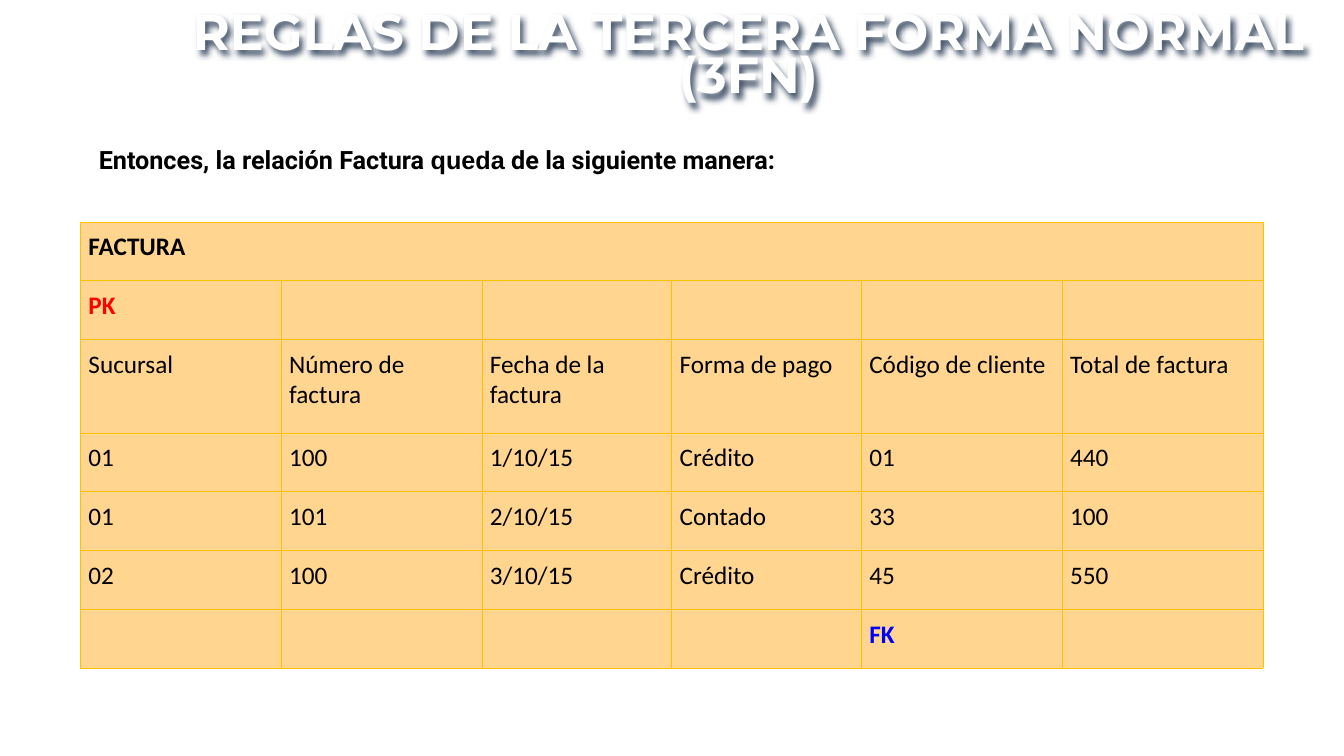
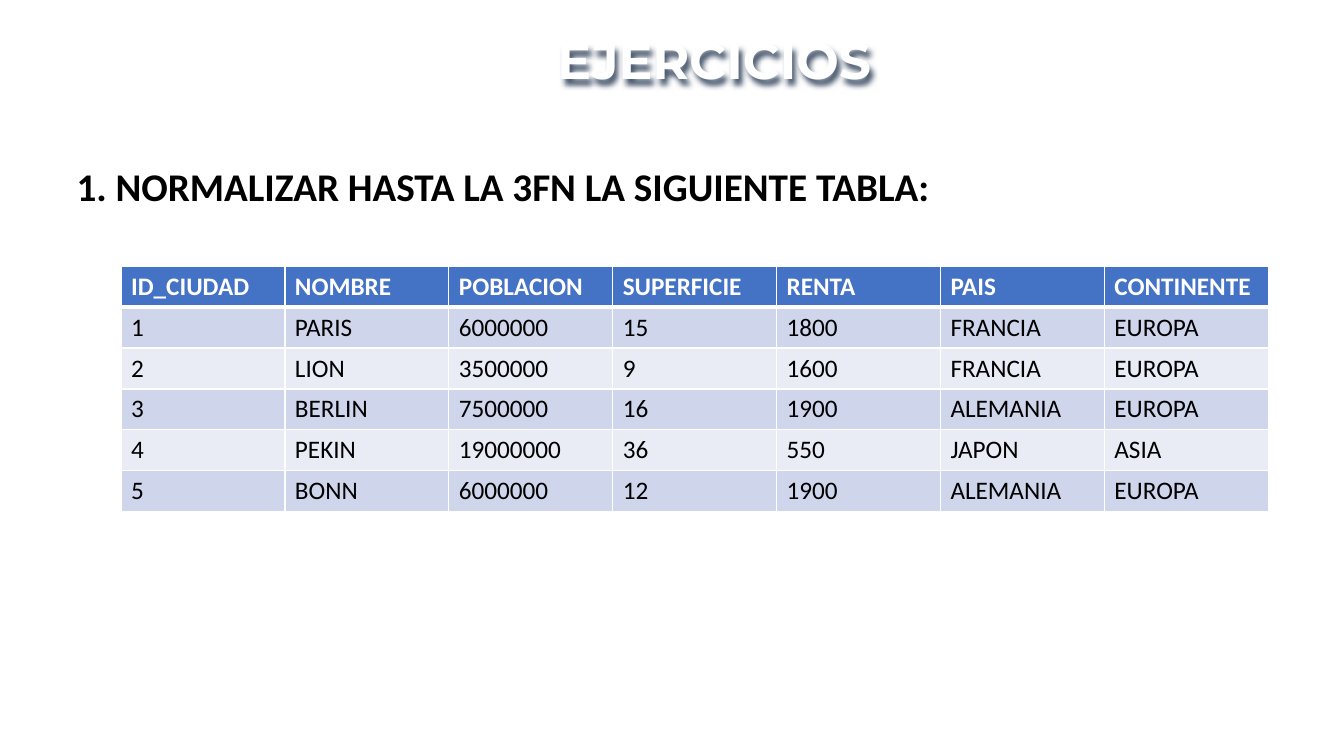
from lxml.etree import SubElement
from pptx import Presentation
from pptx.dml.color import RGBColor
from pptx.enum.text import MSO_ANCHOR, MSO_AUTO_SIZE, PP_ALIGN
from pptx.oxml.ns import qn
from pptx.util import Cm, Pt

COLORS = {
    "white": "FFFFFF",
    "black": "000000",
    "shadow": "44546A",
    "gold": "FFC000",
    "apricot": "FFD58F",
    "key": "FF0000",
    "foreign": "0000FF",
    "header": "4472C4",
    "band_dark": "CFD5EA",
    "band_light": "E9EBF5",
}
TITLE_ONLY = 5

INVOICES = [
    ["FACTURA", "", "", "", "", ""],
    ["PK", "", "", "", "", ""],
    ["Sucursal", "Número de factura", "Fecha de la factura",
     "Forma de pago", "Código de cliente", "Total de factura"],
    ["01", "100", "1/10/15", "Crédito", "01", "440"],
    ["01", "101", "2/10/15", "Contado", "33", "100"],
    ["02", "100", "3/10/15", "Crédito", "45", "550"],
    ["", "", "", "", "FK", ""],
]
CITIES = [
    ["ID_CIUDAD", "NOMBRE", "POBLACION", "SUPERFICIE", "RENTA", "PAIS", "CONTINENTE"],
    ["1", "PARIS", "6000000", "15", "1800", "FRANCIA", "EUROPA"],
    ["2", "LION", "3500000", "9", "1600", "FRANCIA", "EUROPA"],
    ["3", "BERLIN", "7500000", "16", "1900", "ALEMANIA", "EUROPA"],
    ["4", "PEKIN", "19000000", "36", "550", "JAPON", "ASIA"],
    ["5", "BONN", "6000000", "12", "1900", "ALEMANIA", "EUROPA"],
]


def rgb(name):
    return RGBColor.from_string(COLORS[name])


def set_font(font, name, size, color="black", bold=False):
    font.name = name
    font.size = Pt(size)
    font.bold = bold
    font.color.rgb = rgb(color)


def place(sp, box):
    sp.left, sp.top, sp.width, sp.height = (Cm(v) for v in box)


def add_shadow(sp):
    effects = SubElement(sp._element.spPr, qn("a:effectLst"))
    shadow = SubElement(effects, qn("a:outerShdw"), blurRad="50800", dist="50800",
                        dir="3600000", algn="tl", rotWithShape="0")
    SubElement(shadow, qn("a:srgbClr"), val=COLORS["shadow"])


def add_title(slide, box, text):
    sp = slide.shapes.title
    place(sp, box)
    add_shadow(sp)
    tf = sp.text_frame
    tf.text = text
    tf.word_wrap = True
    tf.auto_size = MSO_AUTO_SIZE.SHAPE_TO_FIT_TEXT
    tf.vertical_anchor = MSO_ANCHOR.TOP
    tf.margin_left = tf.margin_right = tf.margin_top = tf.margin_bottom = 0
    p = tf.paragraphs[0]
    p.alignment = PP_ALIGN.CENTER
    p.line_spacing = Pt(31)
    set_font(p.font, "Montserrat", 36, "white", True)


def add_statement(slide, box, runs, size, wrap=True):
    tf = slide.shapes.add_textbox(*(Cm(v) for v in box)).text_frame
    tf.word_wrap = wrap
    tf.auto_size = MSO_AUTO_SIZE.SHAPE_TO_FIT_TEXT
    p = tf.paragraphs[0]
    for text, font_name in runs:
        r = p.add_run()
        r.text = text
        set_font(r.font, font_name, size, bold=True)


def set_borders(cell, color, width, bottom=None):
    tc_pr = cell._tc.get_or_add_tcPr()
    for side in "LRTB":
        points = bottom if side == "B" and bottom else width
        ln = SubElement(tc_pr, qn(f"a:ln{side}"), w=str(Pt(points)))
        fill = SubElement(ln, qn("a:solidFill"))
        SubElement(fill, qn("a:srgbClr"), val=COLORS[color])


def add_table(slide, left, top, widths, heights, rows, style_cell):
    box = (left, top, sum(widths), sum(heights))
    table = slide.shapes.add_table(len(rows), len(widths), *(Cm(v) for v in box)).table
    table.first_row = table.horz_banding = False
    for column, width in zip(table.columns, widths):
        column.width = Cm(width)
    for i, (row, height) in enumerate(zip(table.rows, heights)):
        row.height = Cm(height)
        for cell, text in zip(row.cells, rows[i]):
            cell.text = text
            style_cell(cell, i)
    return table


def style_invoice(cell, i):
    set_borders(cell, "gold", 0.5)
    cell.fill.solid()
    cell.fill.fore_color.rgb = rgb("apricot")
    cell.margin_left = cell.margin_right = Cm(0.2)
    cell.margin_top = cell.margin_bottom = Cm(0.25)
    color = {"PK": "key", "FK": "foreign"}.get(cell.text, "black")
    bold = cell.text in ("FACTURA", "PK", "FK")
    set_font(cell.text_frame.paragraphs[0].font, "Calibri", 18, color, bold)


def style_city(cell, i):
    header = i == 0
    set_borders(cell, "white", 1, 3 if header else None)
    cell.fill.solid()
    band = "band_dark" if i % 2 else "band_light"
    cell.fill.fore_color.rgb = rgb("header" if header else band)
    set_font(cell.text_frame.paragraphs[0].font, "Calibri", 18,
             "white" if header else "black", header)


def add_slide(prs):
    slide = prs.slides.add_slide(prs.slide_layouts[TITLE_ONLY])
    slide.background.fill.solid()
    slide.background.fill.fore_color.rgb = rgb("white")
    return slide


def build_third_form(prs):
    slide = add_slide(prs)
    widths = [5.06, 5.06, 4.78, 4.78, 5.06, 5.06]
    heights = [1.48, 1.48, 2.36] + [1.48] * 4
    table = add_table(slide, 2.03, 5.59, widths, heights, INVOICES, style_invoice)
    table.cell(0, 0).merge(table.cell(0, len(widths) - 1))
    runs = [("Entonces, la relación Factura ", "Roboto"), ("queda", "Arial"),
            (" de la siguiente manera:", "Roboto")]
    add_statement(slide, (2.24, 3.51, 27.97, 1.02), runs, 18)
    add_title(slide, (4.19, 0.43, 29.34, 2.24), "REGLAS DE LA TERCERA FORMA NORMAL (3FN)")


def build_exercises(prs):
    slide = add_slide(prs)
    add_table(slide, 3.05, 6.71, [4.13] * 7, [1.03] * 6, CITIES, style_city)
    add_title(slide, (3.33, 1.17, 29.34, 1.14), "EJERCICIOS")
    runs = [("1. NORMALIZAR HASTA LA 3FN LA SIGUIENTE TABLA:", "Calibri")]
    add_statement(slide, (1.68, 3.96, 22.28, 1.45), runs, 28, wrap=False)


def main():
    prs = Presentation()
    prs.slide_width, prs.slide_height = Cm(33.87), Cm(19.05)
    build_third_form(prs)
    build_exercises(prs)
    prs.save("out.pptx")


if __name__ == "__main__":
    main()
